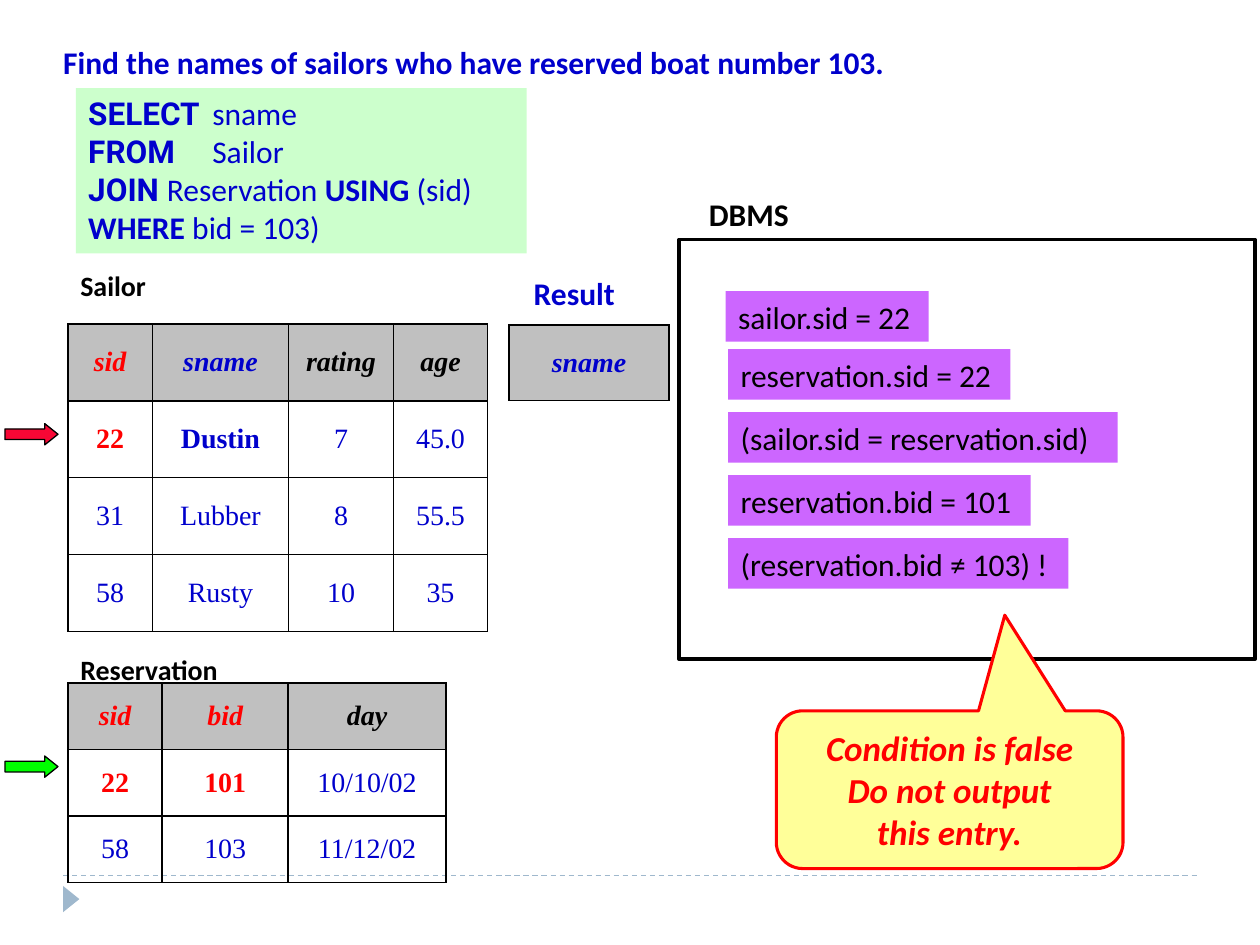
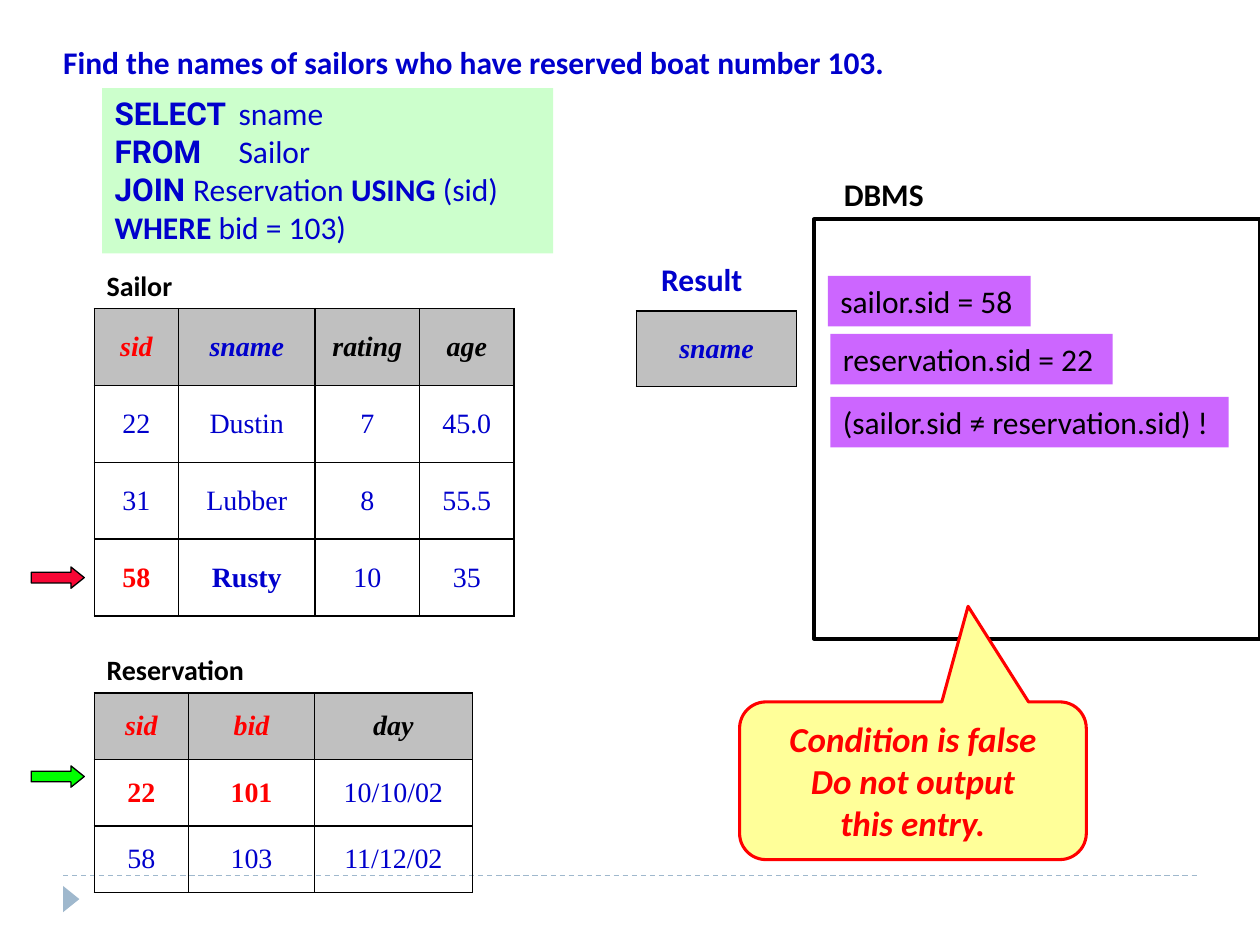
from pptx import Presentation
from pptx.dml.color import RGBColor as RGB
from pptx.enum.dml import MSO_LINE as Dash
from pptx.enum.shapes import MSO_CONNECTOR as Link, MSO_SHAPE as Kind
from pptx.enum.text import MSO_ANCHOR as Anchor, MSO_AUTO_SIZE as Fit, PP_ALIGN as Align
from pptx.oxml import parse_xml
from pptx.oxml.ns import nsdecls
from pptx.util import Cm, Pt

BLUE = RGB(0x00, 0x00, 0xCC)
RED = RGB(0xFF, 0x00, 0x00)
BLACK = RGB(0x00, 0x00, 0x00)
GREY = RGB(0xC0, 0xC0, 0xC0)
MINT = RGB(0xCC, 0xFF, 0xCC)
PURPLE = RGB(0xCC, 0x66, 0xFF)
CREAM = RGB(0xFF, 0xFF, 0x99)
STEEL = RGB(0x9F, 0xB8, 0xCD)
CRIMSON = RGB(0xF7, 0x07, 0x35)
GREEN = RGB(0x00, 0xFF, 0x00)

SANS, SERIF, CODE = "Calibri", "Times New Roman", "Roboto"
KEYS = ("sid", "bid")
TITLE = "Find the names of sailors who have reserved boat number 103."
QUERY = [
    [("SELECT\t", CODE, True), ("sname", SANS, False)],
    [("FROM\t", CODE, True), ("Sailor", SANS, False)],
    [("JOIN ", CODE, True), ("Reservation ", SANS, False),
     ("USING", SANS, True), (" (sid)", SANS, False)],
    [("WHERE", SANS, True), (" bid = 103)", SANS, False)],
]
SAILORS = [
    ("sid", "sname", "rating", "age"),
    ("22", "Dustin", "7", "45.0"),
    ("31", "Lubber", "8", "55.5"),
    ("58", "Rusty", "10", "35"),
]
BOOKINGS = [
    ("sid", "bid", "day"),
    ("22", "101", "10/10/02"),
    ("58", "103", "11/12/02"),
]
VERDICT = ["Condition is false", "Do not output", "this entry."]


def write(frame, lines, size=18, color=BLACK, font=SANS, bold=False,
          italic=False, align=Align.LEFT, tab=None):
    for i, line in enumerate(lines):
        para = frame.paragraphs[0] if i == 0 else frame.add_paragraph()
        para.alignment = align
        if tab:
            para._p.get_or_add_pPr().append(parse_xml(
                f'<a:tabLst {nsdecls("a")}><a:tab pos="{Cm(tab)}" algn="l"/></a:tabLst>'))
        parts = [(line, font, bold)] if isinstance(line, str) else line
        for text, face, heavy in parts:
            run = para.add_run()
            run.text = text
            run.font.name, run.font.size = face, Pt(size)
            run.font.bold, run.font.italic = heavy, italic
            run.font.color.rgb = color


def label(slide, x, y, w, text, **style):
    box = slide.shapes.add_textbox(Cm(x), Cm(y), Cm(w), Cm(1))
    box.text_frame.word_wrap = True
    write(box.text_frame, [text], bold=True, **style)


def shape(slide, kind, x, y, w, h, fill=None, line=None, width=0.75):
    item = slide.shapes.add_shape(kind, Cm(x), Cm(y), Cm(w), Cm(h))
    item.shadow.inherit = False
    if fill is None:
        item.fill.background()
    else:
        item.fill.solid()
        item.fill.fore_color.rgb = fill
    if line is None:
        item.line.fill.background()
    else:
        item.line.color.rgb = line
        item.line.width = Pt(width)
    return item


def border(cell):
    props = cell._tc.get_or_add_tcPr()
    for side in "LRTB":
        props.append(parse_xml(
            f'<a:ln{side} {nsdecls("a")} w="{Pt(1)}"><a:solidFill>'
            f'<a:srgbClr val="{BLACK}"/></a:solidFill></a:ln{side}>'))


def grid(slide, x, y, rows, widths, height, hit=None):
    frame = slide.shapes.add_table(len(rows), len(widths), Cm(x), Cm(y),
                                   Cm(sum(widths)), Cm(height * len(rows)))
    table = frame.table
    table.first_row = table.horz_banding = False
    for col, width in zip(table.columns, widths):
        col.width = Cm(width)
    for r, row in enumerate(rows):
        table.rows[r].height = Cm(height)
        for c, text in enumerate(row):
            cell, name, head = table.cell(r, c), rows[0][c], r == 0
            strong = head or (r == hit and c < 2)
            if name in KEYS and strong:
                color = RED
            elif head and name != "sname":
                color = BLACK
            else:
                color = BLUE
            border(cell)
            if head:
                cell.fill.solid()
                cell.fill.fore_color.rgb = GREY
            else:
                cell.fill.background()
            cell.vertical_anchor = Anchor.MIDDLE
            write(cell.text_frame, [text], size=16, color=color, font=SERIF,
                  bold=strong, italic=head, align=Align.CENTER)


def footer(slide):
    rule = slide.shapes.add_connector(Link.STRAIGHT, Cm(1.27), Cm(17.65), Cm(24.13), Cm(17.65))
    rule.line.color.rgb = STEEL
    rule.line.width = Pt(0.75)
    rule.line.dash_style = Dash.DASH
    rule._element.spPr.append(parse_xml(f'<a:effectLst {nsdecls("a")}/>'))
    mark = shape(slide, Kind.ISOSCELES_TRIANGLE, 1.17, 17.96, 0.53, 0.33, STEEL)
    mark.rotation = 90


def title(slide):
    head = slide.shapes.title
    head.left, head.top, head.width, head.height = Cm(1.02), Cm(0.74), Cm(19.4), Cm(1.02)
    frame = head.text_frame
    frame.auto_size = Fit.NONE
    frame.vertical_anchor = Anchor.TOP
    write(frame, [TITLE], color=BLUE, bold=True)


def query(slide, x, y):
    box = shape(slide, Kind.RECTANGLE, x, y, 9.09, 3.33, MINT)
    box.text_frame.vertical_anchor = Anchor.TOP
    write(box.text_frame, QUERY, color=BLUE, tab=2.5)


def source(slide, x, y, name, name_y, rows, widths, height, hit, tip, color):
    label(slide, x, name_y, 3.7, name, size=16)
    grid(slide, x, y, rows, widths, height, hit)
    shape(slide, Kind.RIGHT_ARROW, x - 1.27, y + tip - 0.22, 1.07, 0.43,
          color, BLACK).adjustments[1] = 0.625


def result(slide, x, y):
    label(slide, x + 0.25, y - 1.15, 2.46, "Result", color=BLUE)
    grid(slide, x, y, [("sname",)], [3.23], 1.52)


def engine(slide, x, y, w, inset, drop, steps):
    for i, (text, width) in enumerate(steps):
        left = x + inset + (0.05 if i else 0)
        top = y + drop + 1.27 * i - (0.1 if i else 0)
        step = shape(slide, Kind.RECTANGLE, left, top, width, 1.02, PURPLE)
        write(step.text_frame, [text])
    shape(slide, Kind.RECTANGLE, x, y, w, 8.46, line=BLACK, width=2)
    label(slide, x + 0.35, y - 1.02, 3.9, "DBMS")


def callout(slide, x, y):
    box = shape(slide, Kind.ROUNDED_RECTANGULAR_CALLOUT, x, y, 6.99, 3.18, CREAM, RED, 1.75)
    for i, value in enumerate((0.159, -1.106, 0.167)):
        box.adjustments[i] = value
    box.text_frame.vertical_anchor = Anchor.MIDDLE
    write(box.text_frame, VERDICT, size=20, color=RED, bold=True, italic=True,
          align=Align.CENTER)


def scene(deck, x, sailor, booking, output, dbms, bubble):
    slide = deck.slides.add_slide(deck.slide_layouts[5])
    footer(slide)
    title(slide)
    query(slide, x + 0.16, 1.78)
    top, hit, tip = sailor
    source(slide, x, top, "Sailor", 5.28, SAILORS, [1.7, 2.75, 2.11, 1.9], 1.55,
           hit, tip, CRIMSON)
    source(slide, x, booking, "Reservation", 13.03, BOOKINGS, [1.9, 2.54, 3.18], 1.34,
           1, 1.69, GREEN)
    result(slide, *output)
    engine(slide, *dbms)
    callout(slide, *bubble)


def main():
    deck = Presentation()
    deck.slide_width, deck.slide_height = Cm(25.4), Cm(19.05)
    scene(deck, 1.37, (6.53, 1, 2.23), 13.77, (10.26, 6.55),
          (13.69, 4.83, 11.61, 0.94, 1.04, [
              ("sailor.sid = 22", 4.09),
              ("reservation.sid = 22", 5.69),
              ("(sailor.sid = reservation.sid)", 7.85),
              ("reservation.bid = 101", 6.1),
              ("(reservation.bid ≠ 103) !", 6.86)]),
          (15.65, 14.33))
    scene(deck, 1.9, (6.22, 3, 5.43), 13.97, (12.83, 6.27),
          (16.41, 4.42, 8.99, 0.28, 1.14, [
              ("sailor.sid = 58", 4.09),
              ("reservation.sid = 22", 5.69),
              ("(sailor.sid ≠ reservation.sid) !", 8.03)]),
          (14.91, 14.15))
    deck.save("out.pptx")


if __name__ == "__main__":
    main()
